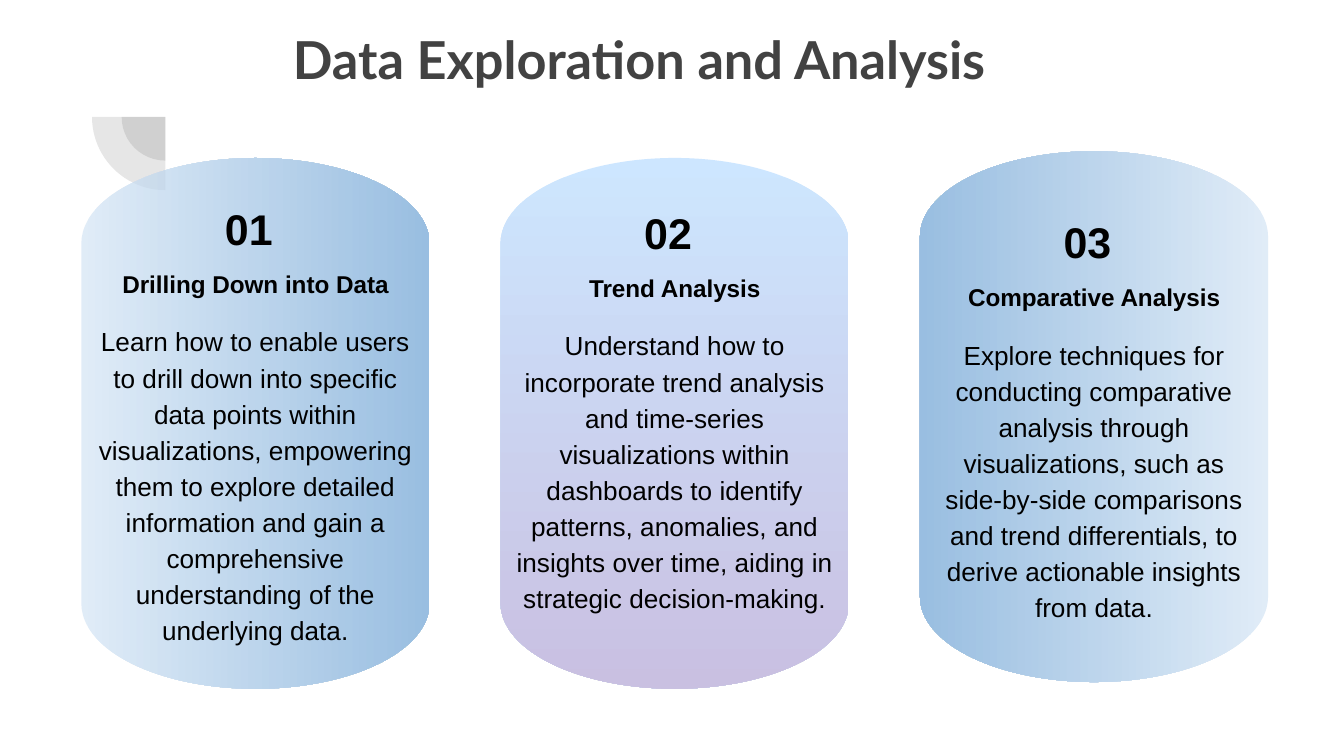
from dataclasses import dataclass

from lxml import etree
from pptx import Presentation
from pptx import util as u
from pptx.dml import color
from pptx.enum import shapes, text
from pptx.oxml import ns

INK = "424242"
BLACK = "000000"
SKY = ("D4E5F5", "70A4D5")
DUSK = ("B9DDFF", "B4A7D6")
KIND = shapes.MSO_SHAPE
LEFT = text.PP_ALIGN.LEFT
MID = text.PP_ALIGN.CENTER
FIRST, PITCH = 1.9, 3.12
LONG, WIDE = 3.95, 2.59


@dataclass
class Card:
    num: str
    head: str
    body: str
    mid: float
    top: float
    turn: int
    hues: tuple[str, str]
    angle: int


@dataclass
class Line:
    drop: float
    width: float
    height: float
    size: int
    bold: bool
    align: text.PP_ALIGN


NUM = Line(0, 0.65, 0.59, 23, True, LEFT)
HEAD = Line(0.52, 2.3, 0.42, 13, True, MID)
BODY = Line(0.94, 2.59, 2.6, 14, False, MID)

CARDS = [
    Card("01", "Drilling Down into Data",
         "Learn how to enable users to drill down into specific data points within "
         "visualizations, empowering them to explore detailed information and gain a "
         "comprehensive understanding of the underlying data.",
         3.15, 1.35, 270, SKY, 270),
    Card("02", "Trend Analysis",
         "Understand how to incorporate trend analysis and time-series visualizations "
         "within dashboards to identify patterns, anomalies, and insights over time, "
         "aiding in strategic decision-making.",
         3.15, 1.38, 90, DUSK, 0),
    Card("03", "Comparative Analysis",
         "Explore techniques for conducting comparative analysis through visualizations, "
         "such as side-by-side comparisons and trend differentials, to derive actionable "
         "insights from data.",
         3.1, 1.45, 90, SKY, 270),
]


def rgb(code: str) -> color.RGBColor:
    return color.RGBColor.from_string(code)


def fade(shape, share: int) -> None:
    for hue in shape.element.spPr.iter(ns.qn("a:srgbClr")):
        etree.SubElement(hue, ns.qn("a:alpha")).set("val", str(share * 1000))


def add_form(slide, kind, x: float, y: float, width: float, height: float, turn: int):
    form = slide.shapes.add_shape(
        kind, u.Inches(x - width / 2), u.Inches(y - height / 2),
        u.Inches(width), u.Inches(height))
    form.rotation = turn
    form.shadow.inherit = False
    form.line.fill.background()
    return form


def add_pie(slide, size: float) -> None:
    pie = add_form(slide, KIND.PIE, 1.23, 0.87, size, size, 270)
    pie.adjustments[0] = 108
    pie.adjustments[1] = 162
    pie.fill.solid()
    pie.fill.fore_color.rgb = rgb(INK)
    fade(pie, 13)


def set_text(shape, words: str, font: str, size: int, bold: bool, hue: str, align) -> None:
    frame = shape.text_frame
    frame.text = words
    frame.word_wrap = True
    frame.auto_size = text.MSO_AUTO_SIZE.NONE
    frame.vertical_anchor = text.MSO_ANCHOR.TOP
    frame.margin_left = frame.margin_right = u.Inches(0.1)
    frame.margin_top = frame.margin_bottom = u.Inches(0.1)
    para = frame.paragraphs[0]
    para.alignment = align
    style = para.runs[0].font
    style.name, style.size, style.bold = font, u.Pt(size), bold
    style.color.rgb = rgb(hue)


def add_line(slide, words: str, line: Line, x: float, top: float) -> None:
    box = slide.shapes.add_textbox(
        u.Inches(x - line.width / 2), u.Inches(top + line.drop),
        u.Inches(line.width), u.Inches(line.height))
    set_text(box, words, "Arial", line.size, line.bold, BLACK, line.align)
    box.text_frame.paragraphs[0].line_spacing = 1.15


def add_card(slide, card: Card, x: float) -> None:
    form = add_form(slide, KIND.FLOWCHART_TERMINATOR, x, card.mid, LONG, WIDE, card.turn)
    form.fill.gradient()
    form.fill.gradient_angle = card.angle
    for stop, hue in zip(form.fill.gradient_stops, card.hues):
        stop.color.rgb = rgb(hue)
    fade(form, 71)
    for words, line in ((card.num, NUM), (card.head, HEAD), (card.body, BODY)):
        add_line(slide, words, line, x, card.top)


def main() -> None:
    deck = Presentation()
    deck.slide_width = u.Inches(10)
    deck.slide_height = deck.slide_width * 9 // 16
    slide = deck.slides.add_slide(deck.slide_layouts[5])

    title = slide.shapes.title
    title.left, title.top = u.Inches(2.08), u.Inches(0.1)
    title.width, title.height = u.Inches(5.87), u.Inches(0.67)
    set_text(title, "Data Exploration and Analysis", "Lato", 28, True, INK, LEFT)

    for size in (0.65, 1.09):
        add_pie(slide, size)
    for i, card in enumerate(CARDS):
        add_card(slide, card, FIRST + i * PITCH)

    deck.save("out.pptx")


if __name__ == "__main__":
    main()
